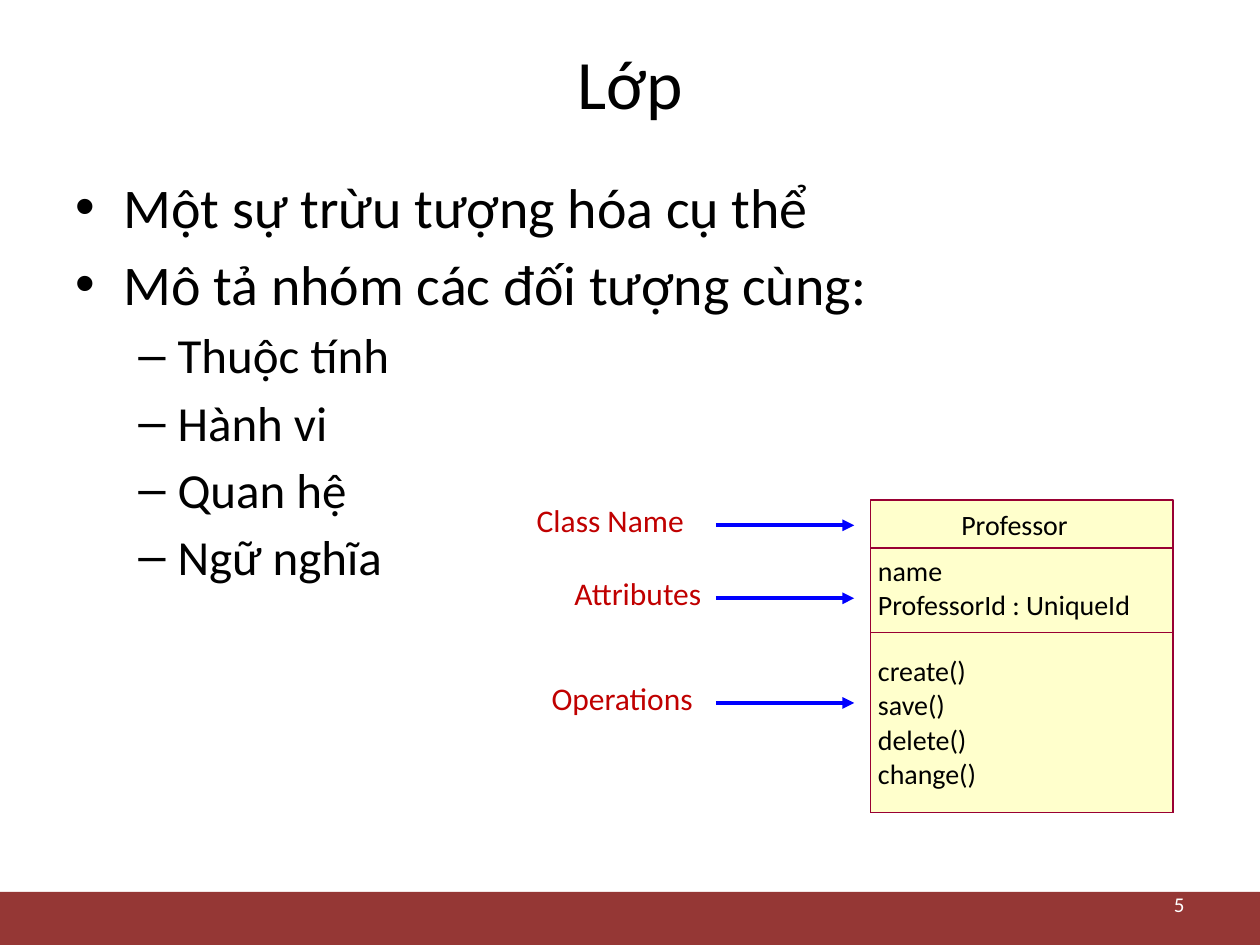
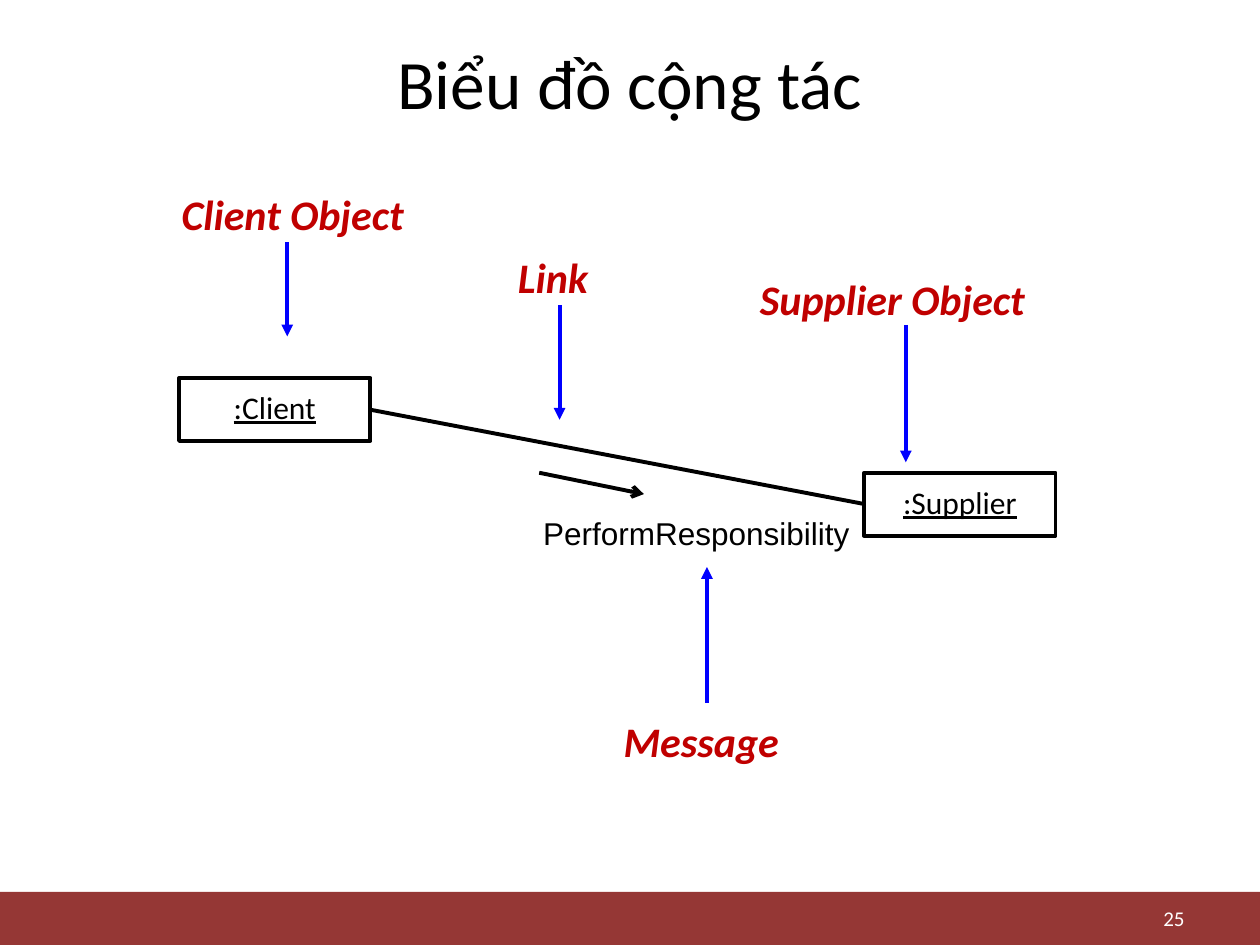
"""Build two UML lesson slides on classes and collaboration diagrams."""
import dataclasses

import pptx
import pptx.dml.color
import pptx.enum.shapes
import pptx.enum.text
import pptx.oxml.ns
import pptx.util
from lxml import etree

Cm = pptx.util.Cm
Pt = pptx.util.Pt
Align = pptx.enum.text.PP_ALIGN
Anchor = pptx.enum.text.MSO_ANCHOR
Fit = pptx.enum.text.MSO_AUTO_SIZE


@dataclasses.dataclass(frozen=True)
class Theme:
    font: str = "Calibri"
    plain: str = "Arial"
    black: str = "000000"
    white: str = "FFFFFF"
    band: str = "953735"
    red: str = "C00000"
    blue: str = "0000FF"
    cream: str = "FFFFCC"
    wine: str = "990033"
    title: float = 39.6
    levels: tuple = (32, 28)
    head: float = 24
    label: float = 18
    code: float = 16
    small: float = 12
    stroke: float = 2.25


class Deck:
    def __init__(self, theme):
        self.theme = theme
        self.show = pptx.Presentation()
        self.show.slide_width, self.show.slide_height = Cm(25.4), Cm(19.05)
        self.slide = None

    def color(self, value):
        return pptx.dml.color.RGBColor.from_string(value)

    def tag(self, parent, name, **attrs):
        return etree.SubElement(parent, pptx.oxml.ns.qn(name), attrs)

    def page(self, title, number, top):
        theme = self.theme
        self.slide = self.show.slides.add_slide(self.show.slide_layouts[6])
        self.rect(0, 17.98, 25.4, 1.07, fill=theme.band)
        pad = (0.25, 0.13)
        self.text(title, 1.27, 0.76, 22.86, 1.78, theme.title, pad=pad,
                  align=Align.CENTER, anchor=Anchor.MIDDLE, grow=False)
        self.text(number, 18.21, top, 5.92, 0.69, theme.small, theme.white,
                  pad=pad, align=Align.RIGHT, anchor=Anchor.MIDDLE, grow=False)

    def rect(self, left, top, width, height, fill=None, line=None, weight=0):
        kind = pptx.enum.shapes.MSO_SHAPE.RECTANGLE
        shape = self.slide.shapes.add_shape(
            kind, Cm(left), Cm(top), Cm(width), Cm(height))
        shape.shadow.inherit = False
        if fill:
            shape.fill.solid()
            shape.fill.fore_color.rgb = self.color(fill)
        else:
            shape.fill.background()
        if line:
            shape.line.color.rgb = self.color(line)
            shape.line.width = Pt(weight)
        else:
            shape.line.fill.background()

    def frame(self, left, top, width, height, pad, anchor=Anchor.TOP):
        box = self.slide.shapes.add_textbox(
            Cm(left), Cm(top), Cm(width), Cm(height))
        frame = box.text_frame
        frame.word_wrap = True
        frame.vertical_anchor = anchor
        frame.margin_left = frame.margin_right = Cm(pad[0])
        frame.margin_top = frame.margin_bottom = Cm(pad[1])
        return frame

    def style(self, para, size, color=None, face=None):
        font = para.font
        font.name = face or self.theme.font
        font.size = Pt(size)
        font.color.rgb = self.color(color or self.theme.black)
        return font

    def text(self, words, left, top, width, height, size, color=None,
             face=None, pad=(0, 0), align=Align.LEFT, anchor=Anchor.TOP,
             grow=True):
        frame = self.frame(left, top, width, height, pad, anchor)
        if grow:
            frame.word_wrap = False
            frame.auto_size = Fit.SHAPE_TO_FIT_TEXT
        para = frame.paragraphs[0]
        para.text = words
        para.alignment = align
        return self.style(para, size, color, face)

    def list(self, items, left, top, width, height):
        frame = self.frame(left, top, width, height, (0.25, 0.13))
        marks = (("•", 0.97, -0.97), ("–", 2.06, -0.79))
        for index, (level, words) in enumerate(items):
            para = frame.add_paragraph() if index else frame.paragraphs[0]
            para.text = words
            para.level = level
            size = self.theme.levels[level]
            para.space_before = Pt(round(size * 0.17, 1))
            self.style(para, size)
            mark, margin, indent = marks[level]
            props = para._p.get_or_add_pPr()
            props.set("marL", str(int(Cm(margin))))
            props.set("indent", str(int(Cm(indent))))
            bullet = etree.Element(pptx.oxml.ns.qn("a:buFont"), typeface="Arial")
            sign = etree.Element(pptx.oxml.ns.qn("a:buChar"), char=mark)
            props.find(pptx.oxml.ns.qn("a:spcBef")).addnext(bullet)
            bullet.addnext(sign)

    def line(self, start, end, color, tip=None):
        kind = pptx.enum.shapes.MSO_CONNECTOR.STRAIGHT
        link = self.slide.shapes.add_connector(
            kind, *(Cm(value) for value in (*start, *end)))
        link.line.color.rgb = self.color(color)
        link.line.width = Pt(self.theme.stroke)
        if tip:
            self.tag(link.line._get_or_add_ln(), "a:tailEnd", type=tip)
        self.tag(link._element.spPr, "a:effectLst")

    def arrow(self, start, end):
        self.line(start, end, self.theme.blue, "triangle")

    def object(self, words, left, top, width):
        full, theme = 3.86, self.theme
        self.rect(left, top, full, 1.27, line=theme.black, weight=theme.stroke)
        font = self.text(words, left + (full - width) / 2, top + 0.2, width,
                         0.76, theme.label, align=Align.CENTER)
        font.underline = True

    def head(self, words, left, top, width):
        font = self.text(words, left, top, width, 1.02,
                         self.theme.head, self.theme.red)
        font.bold = font.italic = True


def draw_class(deck):
    theme = deck.theme
    deck.page("Lớp", "5", 17.88)
    deck.list([
        (0, "Một sự trừu tượng hóa cụ thể"),
        (0, "Mô tả nhóm các đối tượng cùng:"),
        (1, "Thuộc tính"),
        (1, "Hành vi"),
        (1, "Quan hệ"),
        (1, "Ngữ nghĩa"),
    ], 1.27, 3.35, 22.86, 8.51)

    right = 14.63
    for words, top, width in (("Class Name", 9.96, 4.11),
                              ("Attributes", 11.43, 3.35),
                              ("Operations", 13.54, 3.81)):
        deck.text(words, right - width, top, width, 1.07, theme.label,
                  theme.red, pad=(0.3, 0.15))
        deck.arrow((14.43, top + 0.63), (17.22, top + 0.63))

    base = 16.38
    for top, fill in ((10.08, theme.cream), (11.05, None), (12.75, None)):
        deck.rect(17.55, top, 6.1, base - top, fill, theme.wine)
    deck.text("Professor", 19.38, 10.24, 2.69, 0.81, theme.code)
    parts = (
        (11.15, (("name", 1.68), ("ProfessorId : UniqueId", 5.61))),
        (13.18, (("create()", 2.13), ("save()", 1.78),
                 ("delete()", 2.13), ("change()", 2.46))),
    )
    for top, rows in parts:
        for index, (words, width) in enumerate(rows):
            deck.text(words, 17.7, top + index * 0.69, width, 0.81, theme.code)


def draw_collab(deck):
    theme = deck.theme
    deck.page("Biểu đồ cộng tác", "25", 18.16)
    deck.line((7.47, 8.26), (17.42, 10.16), theme.black)
    deck.text("PerformResponsibility", 10.95, 10.36, 6.53, 0.76,
              theme.label, face=theme.plain)
    deck.line((10.87, 9.53), (12.98, 9.96), theme.black, "arrow")
    for words, left, top, width, axis, start, end in (
            ("Client Object", 3.66, 3.81, 4.52, 5.79, 4.88, 6.78),
            ("Supplier Object", 15.32, 5.51, 5.38, 18.26, 6.55, 9.32),
            ("Message", 12.57, 14.43, 3.15, 14.25, 14.17, 11.43),
            ("Link", 10.44, 5.08, 1.42, 11.28, 6.15, 8.46)):
        deck.head(words, left, top, width)
        deck.arrow((axis, start), (axis, end))
    deck.object(":Client", 3.61, 7.62, 1.8)
    deck.object(":Supplier", 17.42, 9.53, 2.51)


def main():
    deck = Deck(Theme())
    draw_class(deck)
    draw_collab(deck)
    deck.show.save("out.pptx")


if __name__ == "__main__":
    main()
